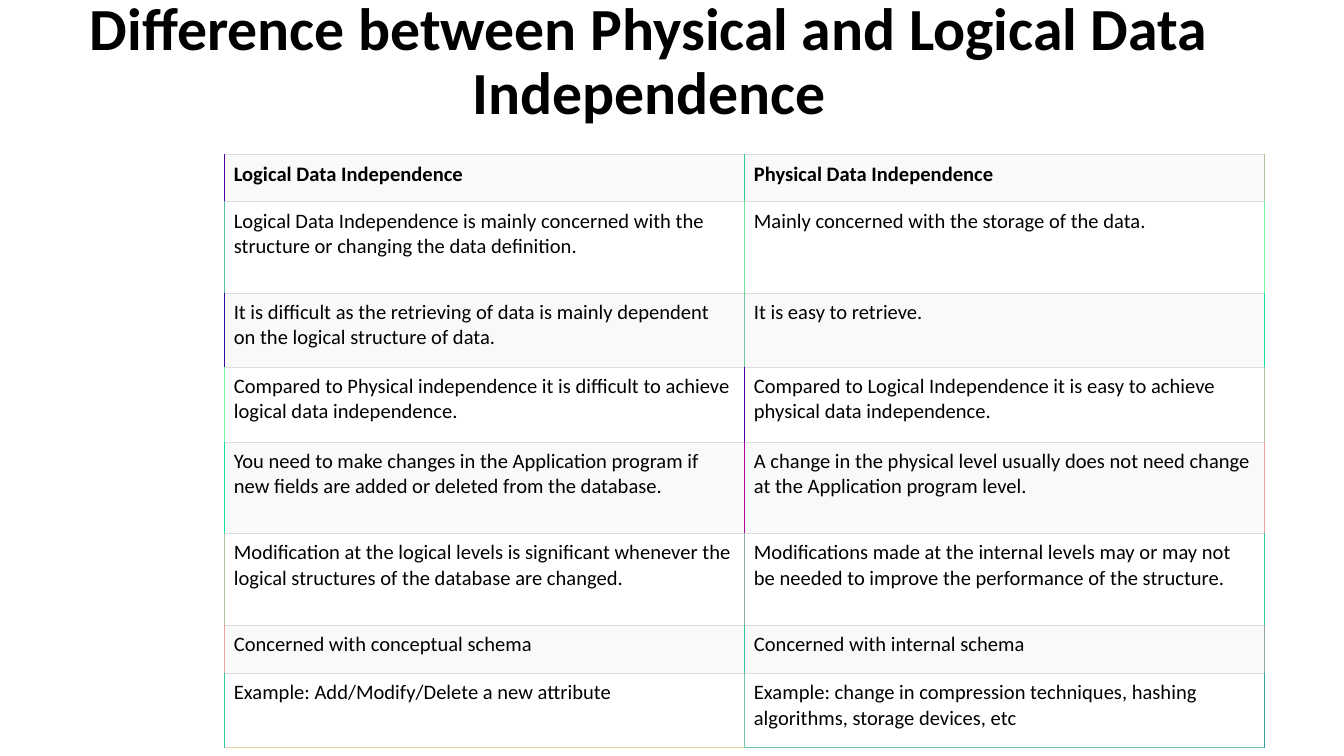
"""Build a slide that compares logical and physical data independence in a table."""
from lxml import etree
from pptx import Presentation
from pptx.dml.color import RGBColor
from pptx.enum.text import MSO_ANCHOR, MSO_AUTO_SIZE, PP_ALIGN
from pptx.oxml.ns import qn
from pptx.util import Inches, Pt

MIDDLE, CENTER, NO_FIT = MSO_ANCHOR.MIDDLE, PP_ALIGN.CENTER, MSO_AUTO_SIZE.NONE
TITLE_ONLY = 5
THEME = {
    "font": "Calibri",
    "title_size": 32,
    "cell_size": 11,
    "ink": "000000",
    "bands": ("F9F9F9", "FFFFFF"),
    "rule": "DDDDDD",
    "rule_width": 0.34,
    "side_width": 0.45,
    "bottoms": ("F0CDA0", "70C5A0"),
}
ROWS = [
    (0.35, "Logical Data Independence", "Physical Data Independence",
     ("5002A1", "30C6A0", "B0C4A0")),
    (0.68, "Logical Data Independence is mainly concerned with the structure or changing the data definition.",
     "Mainly concerned with the storage of the data.",
     ("50C2A0", "70E5A0", "70F5A0")),
    (0.55, "It is difficult as the retrieving of data is mainly dependent on the logical structure of data.",
     "It is easy to retrieve.",
     ("300CA1", "70CCA0", "10E1A0")),
    (0.56, "Compared to Physical independence it is difficult to achieve logical data independence.",
     "Compared to Logical Independence it is easy to achieve physical data independence.",
     ("70F5A0", "5002A1", "B0C4A0")),
    (0.68, "You need to make changes in the Application program if new fields are added or deleted from the database.",
     "A change in the physical level usually does not need change at the Application program level.",
     ("10E1A0", "B005A1", "F0A2A0")),
    (0.68, "Modification at the logical levels is significant whenever the logical structures of the database are changed.",
     "Modifications made at the internal levels may or may not be needed to improve the performance of the structure.",
     ("B0C4A0", "90ADA0", "30C6A0")),
    (0.36, "Concerned with conceptual schema", "Concerned with internal schema",
     ("F0A2A0", "30C5A0", "90A8A0")),
    (0.55, "Example: Add/Modify/Delete a new attribute",
     "Example: change in compression techniques, hashing algorithms, storage devices, etc",
     ("30C6A0", "70C9A0", "30A1A0")),
]
COLUMNS = (3.87, 3.87)


def style_font(para, size, bold):
    para.font.name = THEME["font"]
    para.font.size = Pt(size)
    para.font.bold = bold
    para.font.color.rgb = RGBColor.from_string(THEME["ink"])


def add_border(cell, side, color, width):
    properties = cell._tc.get_or_add_tcPr()
    line = etree.SubElement(properties, qn(f"a:ln{side}"), w=str(Pt(width)))
    fill = etree.SubElement(line, qn("a:solidFill"))
    etree.SubElement(fill, qn("a:srgbClr"), val=color)


deck = Presentation()
deck.slide_width = Inches(10)
deck.slide_height = deck.slide_width * 9 // 16
page = deck.slides.add_slide(deck.slide_layouts[TITLE_ONLY])

title = page.shapes.title
title.left, title.top = Inches(0.33), Inches(0)
title.width, title.height = Inches(9), Inches(0.94)
title.text_frame.text = "Difference between Physical and Logical Data Independence"
title.text_frame.auto_size = NO_FIT
title.text_frame.vertical_anchor = MIDDLE
heading = title.text_frame.paragraphs[0]
heading.alignment = CENTER
heading.line_spacing = 0.9
style_font(heading, THEME["title_size"], True)

table = page.shapes.add_table(
    len(ROWS), len(COLUMNS), Inches(1.67), Inches(1.15),
    Inches(sum(COLUMNS)), Inches(sum(row[0] for row in ROWS))).table
table.first_row = table.horz_banding = False
for column, width in zip(table.columns, COLUMNS):
    column.width = Inches(width)

for row_index, (height, logical, physical, sides) in enumerate(ROWS):
    table.rows[row_index].height = Inches(height)
    is_last = row_index == len(ROWS) - 1
    for column_index, text in enumerate((logical, physical)):
        cell = table.cell(row_index, column_index)
        cell.text = text
        cell.margin_left = cell.margin_right = Inches(0.07)
        cell.margin_top = cell.margin_bottom = Inches(0.05)
        style_font(cell.text_frame.paragraphs[0], THEME["cell_size"], row_index == 0)
        add_border(cell, "L", sides[column_index], THEME["side_width"])
        add_border(cell, "R", sides[column_index + 1], THEME["side_width"])
        add_border(cell, "T", THEME["rule"], THEME["rule_width"])
        if is_last:
            add_border(cell, "B", THEME["bottoms"][column_index], THEME["side_width"])
        else:
            add_border(cell, "B", THEME["rule"], THEME["rule_width"])
        cell.fill.solid()
        cell.fill.fore_color.rgb = RGBColor.from_string(THEME["bands"][row_index % 2])

deck.save("out.pptx")
